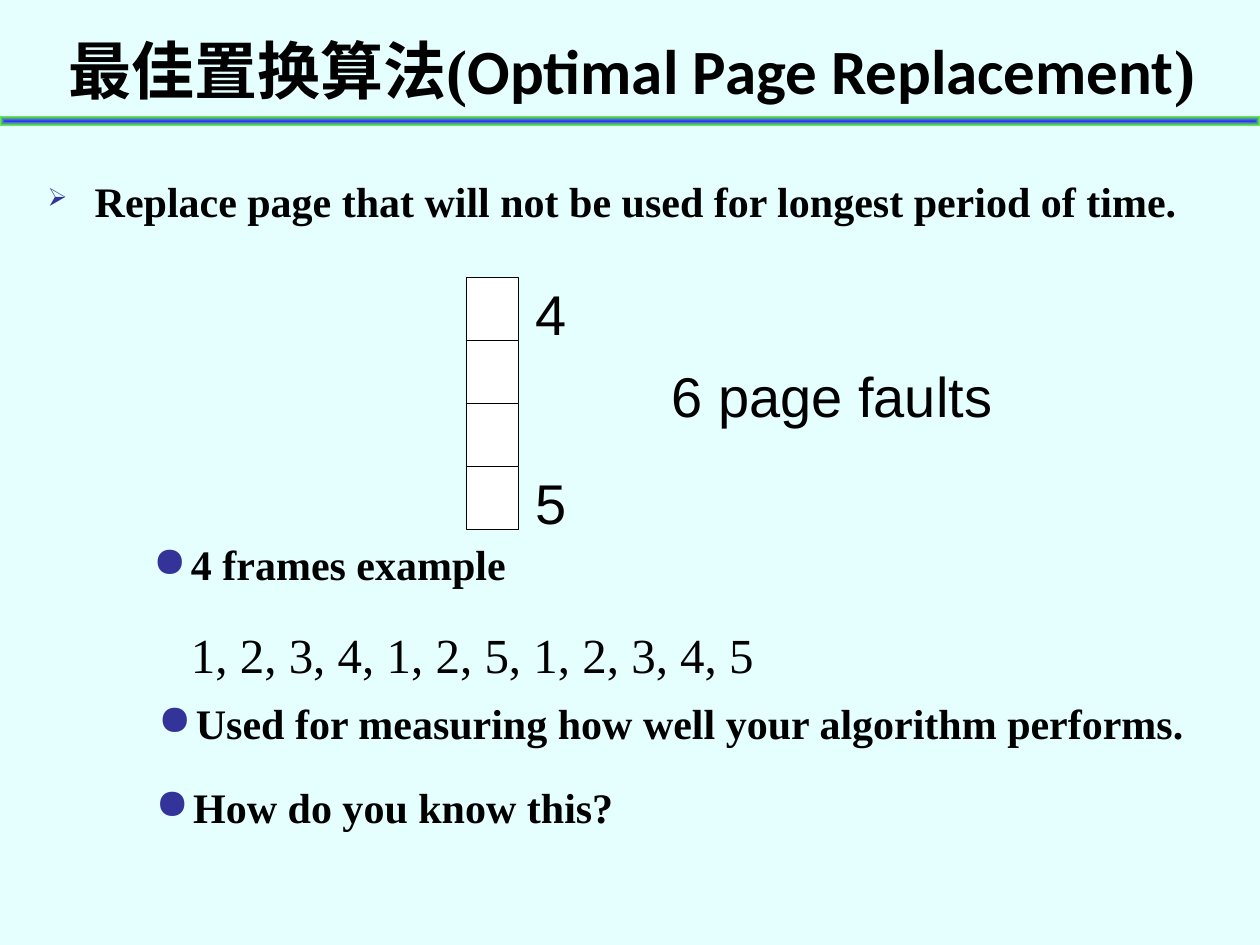
import pptx
import pptx.dml.color
import pptx.enum.shapes
import pptx.enum.text
import pptx.oxml
import pptx.oxml.ns
import pptx.util
from pptx.util import Cm

RGBColor = pptx.dml.color.RGBColor
Pt = pptx.util.Pt
ALIGN = pptx.enum.text.PP_ALIGN
ANCHOR = pptx.enum.text.MSO_ANCHOR

BACKGROUND = RGBColor(0xE5, 0xFF, 0xFF)
BLACK = RGBColor(0, 0, 0)
WHITE = RGBColor(0xFF, 0xFF, 0xFF)
BULLET = RGBColor(0x33, 0x33, 0x99)
BAR_CENTRE = RGBColor(0x33, 0x33, 0xFF)
BAR_EDGE = RGBColor(0x66, 0xFF, 0x33)

SERIF = "Times New Roman"
SANS = "Arial"
BULLET_INDENT = Cm(0.76)


def element(tag, **attributes):
    """Make a DrawingML element."""
    node = pptx.oxml.parse_xml(f"<a:{tag} {pptx.oxml.ns.nsdecls('a')}/>")
    for name, value in attributes.items():
        node.set(name, str(value))
    return node


def add_text_box(slide, left, top, width, height, anchor=ANCHOR.TOP, wrap=True):
    box = slide.shapes.add_textbox(Cm(left), Cm(top), Cm(width), Cm(height))
    frame = box.text_frame
    frame.word_wrap = wrap
    frame.vertical_anchor = anchor
    return frame


def style(paragraph, size, name=SERIF, bold=False, align=ALIGN.LEFT):
    paragraph.alignment = align
    font = paragraph.font
    font.size, font.name, font.bold = Pt(size), name, bold
    font.color.rgb = BLACK


def add_bullet(paragraph, character, indent=BULLET_INDENT, percent=100):
    properties = paragraph._p.get_or_add_pPr()
    properties.set("marL", str(indent))
    properties.set("indent", str(-indent))
    colour = element("buClr")
    colour.append(element("srgbClr", val=BULLET))
    properties.append(colour)
    properties.append(element("buSzPct", val=percent * 1000))
    properties.append(element("buChar", char=character))


def add_bullet_box(slide, text, left, top, width, height, align=ALIGN.LEFT):
    frame = add_text_box(slide, left, top, width, height)
    paragraph = frame.paragraphs[0]
    paragraph.text = text
    add_bullet(paragraph, "●")
    style(paragraph, 24, bold=True, align=align)
    return frame


def add_label(slide, text, left, top, width):
    frame = add_text_box(slide, left, top, width, 1.63, ANCHOR.MIDDLE, wrap=False)
    paragraph = frame.paragraphs[0]
    paragraph.text = text
    style(paragraph, 32, SANS, align=ALIGN.CENTER)


def add_rectangle(slide, left, top, width, height):
    shape = slide.shapes.add_shape(
        pptx.enum.shapes.MSO_SHAPE.RECTANGLE, Cm(left), Cm(top), Cm(width), Cm(height))
    shape.shadow.inherit = False
    return shape


def add_title(slide):
    frame = add_text_box(slide, 0.64, 0.51, 24.2, 1.78, ANCHOR.MIDDLE)
    paragraph = frame.paragraphs[0]
    style(paragraph, 36, bold=True, align=ALIGN.CENTER)
    for text, name in (("最佳置换算法(", SERIF),
                       ("Optimal Page Replacement", "Calibri"),
                       (")", SERIF)):
        run = paragraph.add_run()
        run.text = text
        run.font.name = name
        run._r.get_or_add_rPr().append(element("ea", typeface="Noto Sans CJK SC"))


def add_title_bar(slide):
    bar = add_rectangle(slide, 0, 2.34, 25.4, 0.2)
    bar.line.fill.background()
    bar.fill.gradient()
    for stop, colour in zip(bar.fill.gradient_stops, (BAR_CENTRE, BAR_EDGE)):
        stop.color.rgb = colour
    # Let the gradient run from the centre to the edges
    gradient = bar._element.spPr.find(pptx.oxml.ns.qn("a:gradFill"))
    gradient.remove(gradient.find(pptx.oxml.ns.qn("a:lin")))
    path = element("path")
    path.set("path", "rect")
    path.append(element("fillToRect", l=50000, t=50000, r=50000, b=50000))
    gradient.append(path)


def add_frames(slide):
    left, top, width, height = 9.4, 5.59, 1.06, 1.27
    replacements = (None, None, None, None)
    replacements = ("4", None, None, "5")
    for index, page in enumerate(replacements):
        cell_top = top + index * height
        cell = add_rectangle(slide, left, cell_top, width, height)
        cell.fill.solid()
        cell.fill.fore_color.rgb = WHITE
        cell.line.color.rgb = BLACK
        cell.line.width = Pt(0.75)
        if page:
            add_label(slide, page, left + 1.14, cell_top - 0.1, 1.12)


def main():
    presentation = pptx.Presentation()
    presentation.slide_width, presentation.slide_height = Cm(25.4), Cm(19.05)
    slide = presentation.slides.add_slide(presentation.slide_layouts[6])
    slide.background.fill.solid()
    slide.background.fill.fore_color.rgb = BACKGROUND

    # Title and rule
    add_title(slide)
    add_title_bar(slide)

    # Definition
    frame = add_text_box(slide, 0.71, 3.33, 24.13, 2.46)
    frame.margin_top = frame.margin_bottom = 0
    definition = frame.paragraphs[0]
    definition.text = "Replace page that will not be used for longest period of time."
    definition.line_spacing = 1.2
    add_bullet(definition, "➢", Cm(0.95), 60)
    style(definition, 24, bold=True)

    # Memory frames and fault count
    add_frames(slide)
    add_label(slide, "6 page faults", 13.28, 7.16, 6.99)

    # Example with its reference string
    example = add_bullet_box(slide, "4 frames example", 2.84, 10.74, 19.81, 3.05)
    references = example.add_paragraph()
    references.text = "1, 2, 3, 4, 1, 2, 5, 1, 2, 3, 4, 5"
    references.space_before = Pt(20)
    references._p.get_or_add_pPr().set("marL", str(BULLET_INDENT))
    style(references, 28)

    # Remarks
    add_bullet_box(slide, "Used for measuring how well your algorithm performs.",
                   1.75, 13.94, 23.55, 1.27, ALIGN.CENTER)
    add_bullet_box(slide, "How do you know this?", 1.4, 15.62, 12.7, 1.27, ALIGN.CENTER)

    presentation.save("out.pptx")


if __name__ == "__main__":
    main()
